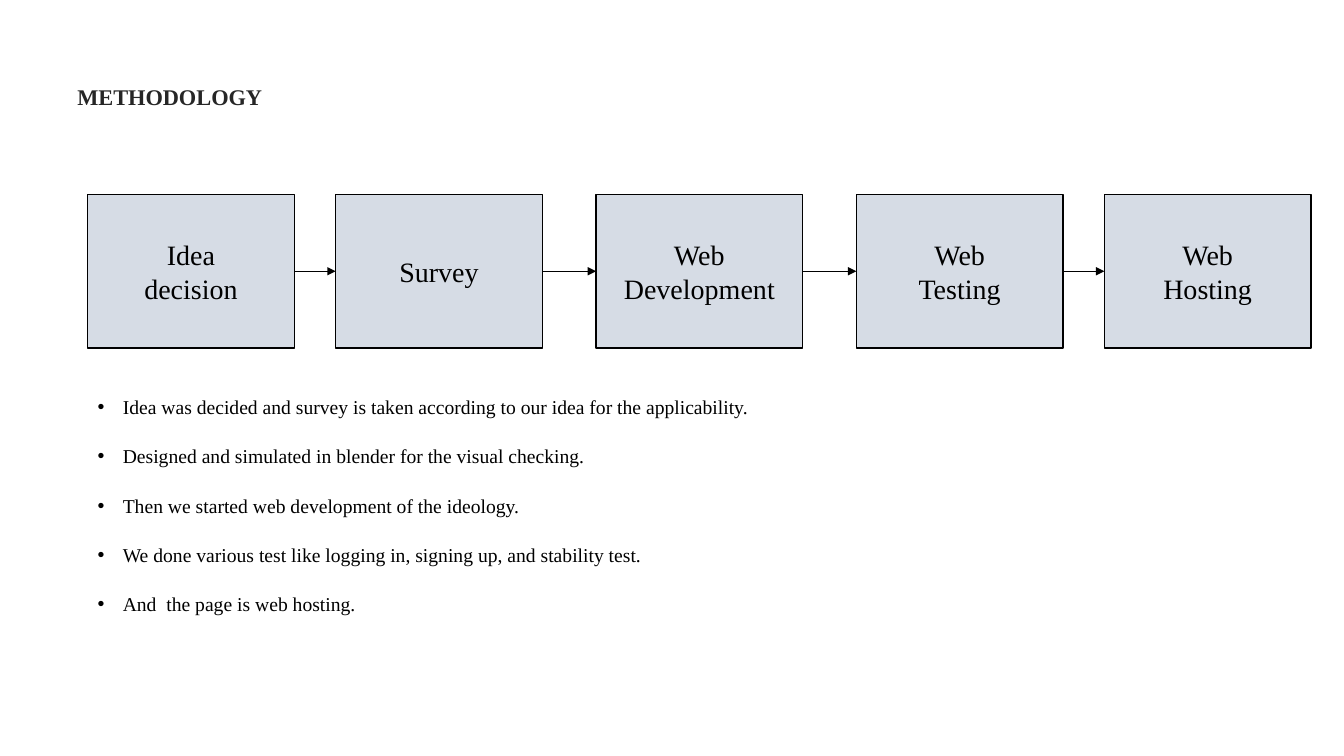
from dataclasses import dataclass

import pptx
import pptx.dml.color
import pptx.enum.shapes
import pptx.enum.text
import pptx.oxml
import pptx.oxml.ns
import pptx.util
from pptx.util import Cm, Pt

RGB = pptx.dml.color.RGBColor
ALIGN = pptx.enum.text.PP_ALIGN
ANCHOR = pptx.enum.text.MSO_ANCHOR


@dataclass(frozen=True)
class Theme:
    font: str = "Times New Roman"
    title_color: RGB = RGB(0x26, 0x26, 0x26)
    ink: RGB = RGB(0, 0, 0)
    step_fill: RGB = RGB(0xD6, 0xDC, 0xE5)
    title_size: int = 16
    step_size: int = 20
    point_size: int = 14
    border: float = 1
    arrow: float = 0.5


THEME = Theme()

TITLE = "METHODOLOGY"
STEPS = ["Idea\ndecision", "Survey", "Web\nDevelopment", "Web\nTesting", "Web\nHosting"]
STEP_WIDTH = 5.21
STEP_GAPS = [1.04, 1.35, 1.35, 1.04]
POINTS = [
    "Idea was decided and survey is taken according to our idea for the applicability.",
    "Designed and simulated in blender for the visual checking.",
    "Then we started web development of the ideology.",
    "We done various test like logging in, signing up, and stability test.",
    "And  the page is web hosting.",
]


def add_child(parent, tag, **attributes):
    child = pptx.oxml.parse_xml(f'<a:{tag} {pptx.oxml.ns.nsdecls("a")}/>')
    for name, value in attributes.items():
        child.set(name, value)
    parent.append(child)


def write(frame, text, size, color=THEME.ink, bold=False, align=ALIGN.LEFT,
          anchor=ANCHOR.TOP, line_spacing=1.0, space_before=0, bullet=None):
    """Fill a text frame, one paragraph for each line of text."""
    frame.word_wrap = True
    frame.vertical_anchor = anchor
    for index, line in enumerate(text.split("\n")):
        paragraph = frame.paragraphs[0] if index == 0 else frame.add_paragraph()
        paragraph.alignment = align
        paragraph.line_spacing = line_spacing
        paragraph.space_before = Pt(space_before if index else 0)
        if bullet:
            properties = paragraph._p.get_or_add_pPr()
            properties.set("marL", str(Cm(0.635)))
            properties.set("indent", str(-Cm(0.635)))
            add_child(properties, "buFont", typeface="Arial")
            add_child(properties, "buChar", char=bullet)
        run = paragraph.add_run()
        run.text = line
        run.font.name = THEME.font
        run.font.size = Pt(size)
        run.font.bold = bold
        run.font.color.rgb = color


def add_title(slide, left, top, width, height):
    title = slide.shapes.add_textbox(left, top, width, height)
    write(title.text_frame, TITLE, THEME.title_size, color=THEME.title_color,
          bold=True, anchor=ANCHOR.MIDDLE, line_spacing=0.9)


def add_step(slide, label, left, top, width, height):
    step = slide.shapes.add_shape(
        pptx.enum.shapes.MSO_SHAPE.RECTANGLE, left, top, width, height)
    step.shadow.inherit = False
    step.fill.solid()
    step.fill.fore_color.rgb = THEME.step_fill
    step.line.color.rgb = THEME.ink
    step.line.width = Pt(THEME.border)
    write(step.text_frame, label, THEME.step_size, align=ALIGN.CENTER,
          anchor=ANCHOR.MIDDLE)
    return step


def add_arrow(slide, source, target):
    arrow = slide.shapes.add_connector(
        pptx.enum.shapes.MSO_CONNECTOR.STRAIGHT, 0, 0, 0, 0)
    arrow.begin_connect(source, 3)
    arrow.end_connect(target, 1)
    arrow.line.color.rgb = THEME.ink
    arrow.line.width = Pt(THEME.arrow)
    add_child(arrow.line._get_or_add_ln(), "tailEnd", type="triangle")
    add_child(arrow._element.spPr, "effectLst")


def add_process(slide, left, top, height):
    """Lay the steps in a row and join neighbours with arrows."""
    steps = []
    for label, gap in zip(STEPS, STEP_GAPS + [0]):
        steps.append(add_step(slide, label, left, top, Cm(STEP_WIDTH), height))
        left += Cm(STEP_WIDTH + gap)
    for source, target in zip(steps, steps[1:]):
        add_arrow(slide, source, target)


def add_points(slide, left, top, width, height):
    points = slide.shapes.add_textbox(left, top, width, height)
    write(points.text_frame, "\n".join(POINTS), THEME.point_size,
          line_spacing=1.5, space_before=10, bullet="•")


def main():
    deck = pptx.Presentation()
    deck.slide_width, deck.slide_height = Cm(33.87), Cm(19.05)
    slide = deck.slides.add_slide(deck.slide_layouts[6])
    add_title(slide, Cm(1.7), Cm(0.9), Cm(30.48), Cm(3.17))
    add_process(slide, Cm(2.21), Cm(4.9), Cm(3.87))
    add_points(slide, Cm(2.21), Cm(9.53), Cm(30.84), Cm(6.53))
    deck.save("out.pptx")


if __name__ == "__main__":
    main()
